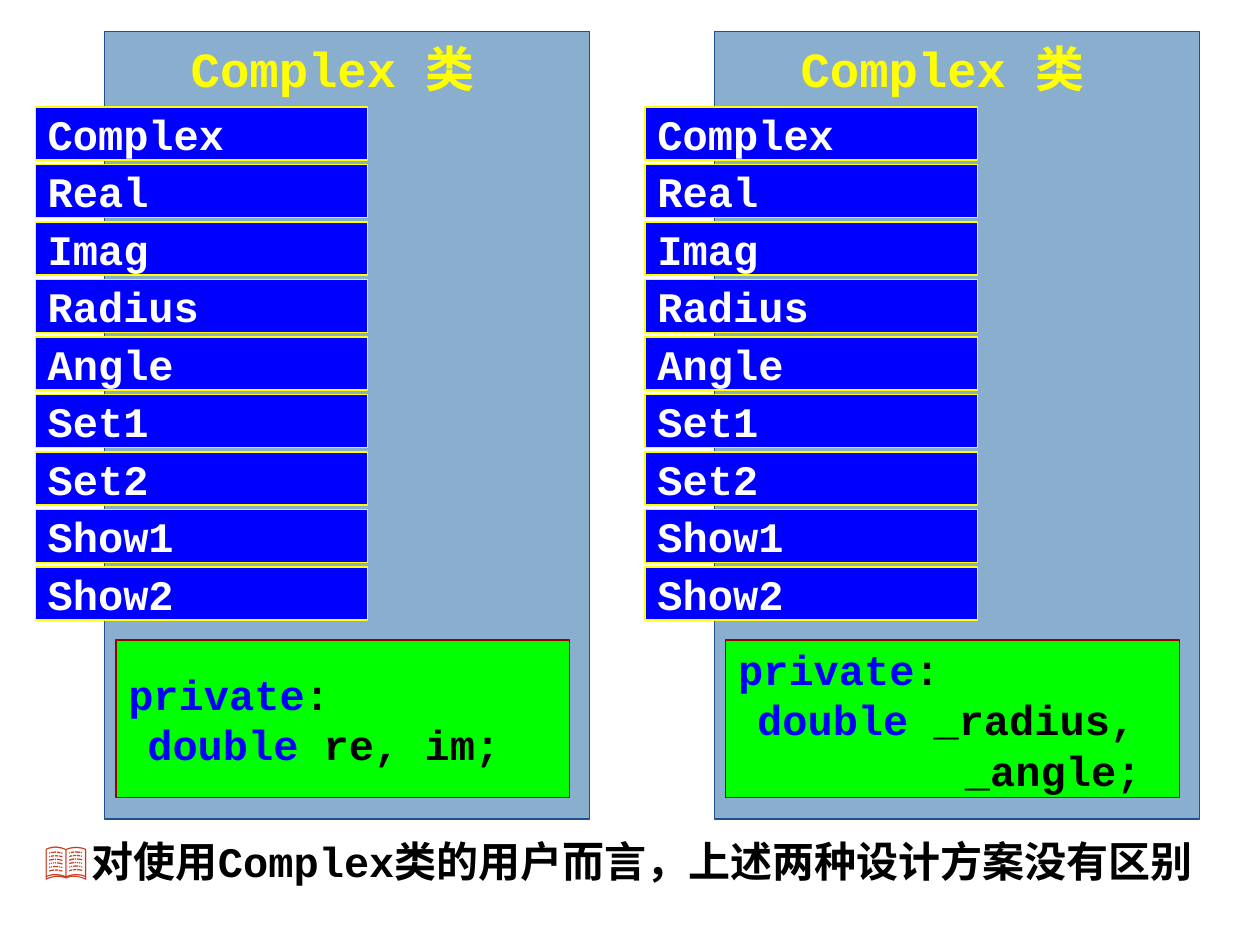
from lxml import etree
from pptx import Presentation
from pptx.dml.color import RGBColor
from pptx.enum import shapes, text
from pptx.oxml import ns
from pptx.util import Inches, Pt

PANEL_FILL = RGBColor(0x8A, 0xAE, 0xCE)
PANEL_LINE = RGBColor(0x1D, 0x52, 0x8D)
YELLOW = RGBColor(0xFF, 0xFF, 0x00)
GREEN = RGBColor(0x00, 0xFF, 0x00)
DARK_RED = RGBColor(0x99, 0x00, 0x00)
BLUE = RGBColor(0x00, 0x00, 0xFF)
WHITE = RGBColor(0xFF, 0xFF, 0xFF)
BLACK = RGBColor(0x00, 0x00, 0x00)
BULLET_COLOR = "CA3B1E"
CODE_FONT = "Courier New"
CHINESE_FONT = "Noto Sans CJK SC"


def add_span(para, words, color, size=24, font=CODE_FONT):
    span = para.add_run()
    span.text = words
    span.font.size = Pt(size)
    span.font.bold = True
    span.font.name = font
    span.font.color.rgb = color
    east_asian = etree.SubElement(span._r.get_or_add_rPr(), ns.qn("a:ea"))
    east_asian.set("typeface", CHINESE_FONT)


def add_box(page, left, top, width, height, fill, line):
    box = page.shapes.add_shape(
        shapes.MSO_SHAPE.RECTANGLE,
        Inches(left), Inches(top), Inches(width), Inches(height))
    box.shadow.inherit = False
    box.fill.solid()
    box.fill.fore_color.rgb = fill
    box.line.color.rgb = line
    box.line.width = Pt(0.75)
    frame = box.text_frame
    frame.word_wrap = False
    frame.vertical_anchor = text.MSO_ANCHOR.MIDDLE
    frame.paragraphs[0].alignment = text.PP_ALIGN.LEFT
    frame.paragraphs[0].line_spacing = Pt(28.8)
    return box


deck = Presentation()
deck.slide_width = Inches(10)
deck.slide_height = Inches(7.5)
page = deck.slides.add_slide(deck.slide_layouts[1])
title = page.shapes.title
title.element.getparent().remove(title.element)

methods = ["Complex", "Real", "Imag", "Radius", "Angle",
           "Set1", "Set2", "Show1", "Show2"]
method_pitch = 3.65 / (len(methods) - 1)
designs = [
    (0.83, [" re, im;"]),
    (5.67, [" _radius,", "         _angle;"]),
]

for left, members in designs:
    # Class panel and its heading
    add_box(page, left, 0.25, 3.85, 6.25, PANEL_FILL, PANEL_LINE)
    heading = page.shapes.add_textbox(
        Inches(left + 0.35), Inches(0.25), Inches(2.92), Inches(0.58))
    heading.text_frame.word_wrap = False
    heading.text_frame.vertical_anchor = text.MSO_ANCHOR.MIDDLE
    para = heading.text_frame.paragraphs[0]
    para.alignment = text.PP_ALIGN.CENTER
    add_span(para, "Complex ", YELLOW, 28)
    add_span(para, "类", YELLOW, 28, "Arial")

    # Private data
    data = add_box(page, left + 0.09, 5.08, 3.6, 1.25, GREEN, DARK_RED)
    para = data.text_frame.paragraphs[0]
    add_span(para, "private", BLUE)
    add_span(para, ":", BLACK)
    para = data.text_frame.add_paragraph()
    para.alignment = text.PP_ALIGN.LEFT
    para.line_spacing = Pt(28.8)
    add_span(para, "  ", BLUE, font=CHINESE_FONT)
    add_span(para, "double", BLUE)
    for number, member in enumerate(members):
        if number:
            para.add_line_break()
        add_span(para, member, BLACK)

    # Public methods, overlapping the panel's left edge
    for row, method in enumerate(methods):
        box = add_box(page, left - 0.55, 0.85 + row * method_pitch,
                      2.64, 0.42, BLUE, YELLOW)
        add_span(box.text_frame.paragraphs[0], method, WHITE)

# Conclusion
body = page.placeholders[1]
body.left, body.top = Inches(0.33), Inches(6.58)
body.width, body.height = Inches(9.5), Inches(0.75)
frame = body.text_frame
frame.auto_size = text.MSO_AUTO_SIZE.NONE
frame.word_wrap = True
frame.vertical_anchor = text.MSO_ANCHOR.TOP
frame.margin_left = Inches(0.02)
para = frame.paragraphs[0]
para.space_before = Pt(0)
properties = para._p.get_or_add_pPr()
properties.set("marL", str(Inches(0.38)))
properties.set("indent", str(-Inches(0.38)))
bullet_color = etree.SubElement(properties, ns.qn("a:buClr"))
etree.SubElement(bullet_color, ns.qn("a:srgbClr")).set("val", BULLET_COLOR)
etree.SubElement(properties, ns.qn("a:buChar")).set("char", "📖")
add_span(para, "对使用Complex类的用户而言，上述两种设计方案没有区别", BLACK)

deck.save("out.pptx")
